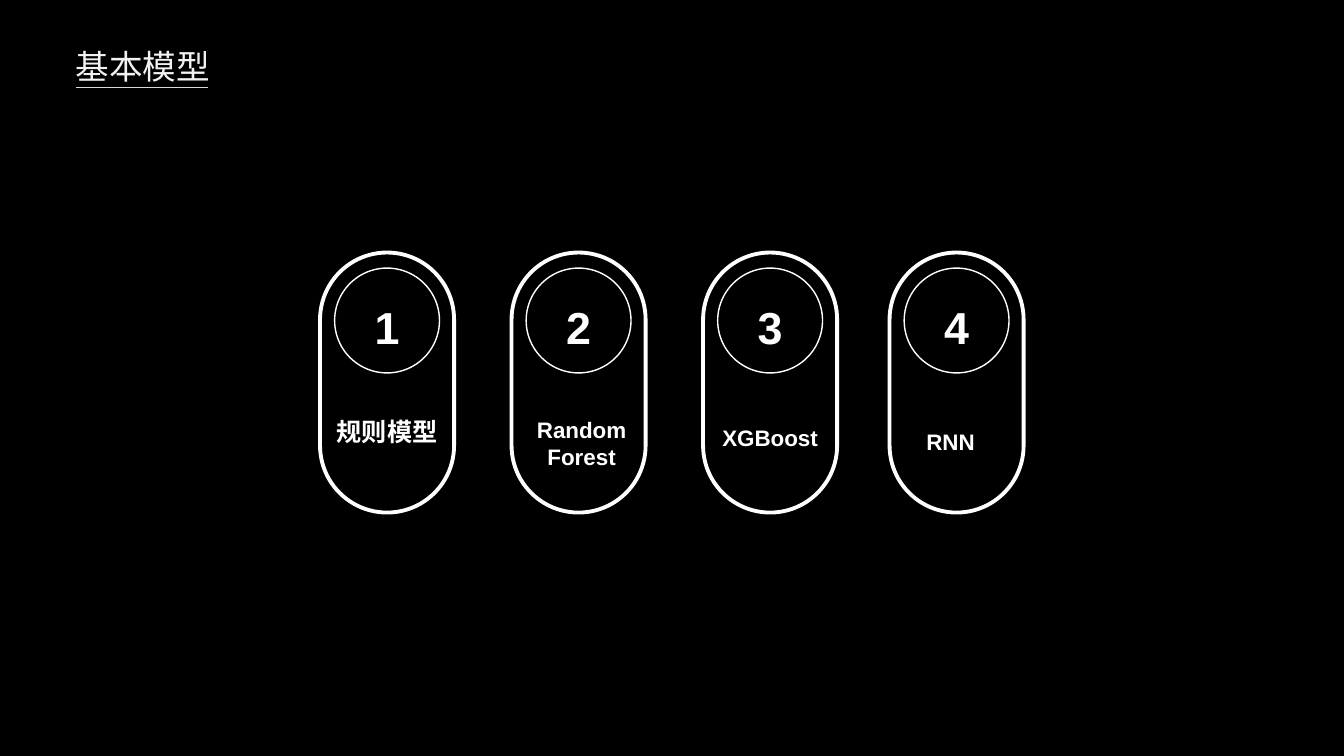
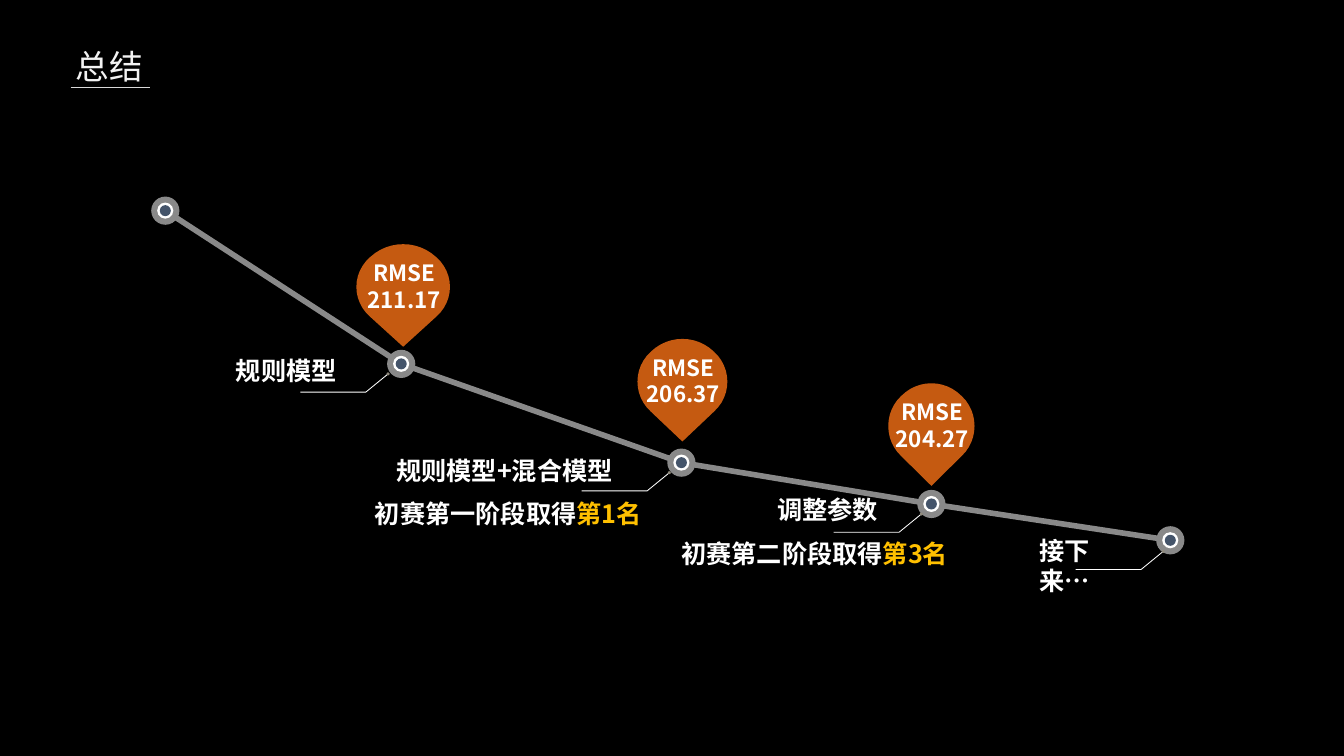
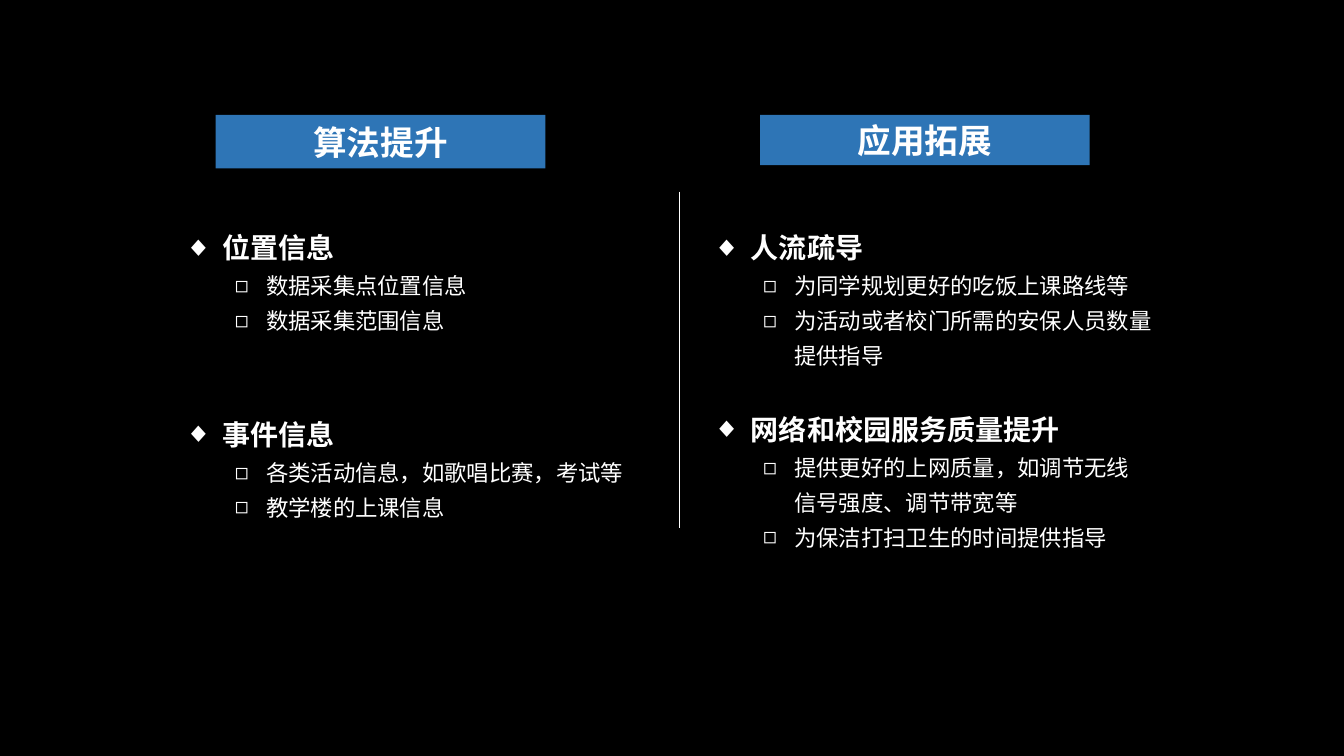
"""Builds three dark slides: basic models, results timeline and next steps."""
from itertools import pairwise

from lxml import etree
from pptx import Presentation
from pptx.dml.color import RGBColor
from pptx.enum.shapes import MSO_CONNECTOR as LINK, MSO_SHAPE as SHAPE
from pptx.enum.text import MSO_ANCHOR as ANCHOR, MSO_AUTO_SIZE as FIT, PP_ALIGN as ALIGN
from pptx.oxml.ns import qn
from pptx.util import Inches, Pt

CELL = Inches(0.1)
COLUMNS, ROWS = 133.33, 75
CJK = "Noto Sans CJK SC"
COLORS = {
    "background": "000000", "text": "FFFFFF", "title": "F2F2F2", "rule": "D9D9D9",
    "track": "898989", "core": "44546A", "dot": "908B7E", "pin": "C55A11",
    "highlight": "FFC000", "banner": "2E75B6",
}
TITLE_ONLY, COMPARISON = 5, 4

MODELS = [
    ("1", "规则模型", 18, 38.4, 38.4, 40.8),
    ("2", "Random Forest", 16, 57.4, 57.7, 40.8),
    ("3", "XGBoost", 16, 76.4, 76.4, 41.6),
    ("4", "RNN", 16, 94.9, 94.3, 42),
]
MILESTONES = [(16.4, 20.9), (39.8, 36.1), (67.6, 45.9), (92.4, 50), (116.1, 53.6)]
LEADER_TIPS = [(38.5, 37.1), (66.4, 46.9), (91.4, 51), (115.4, 54.7)]
SCORES = [("211.17", 40, 23.8, 10.2), ("206.37", 67.7, 33.2, 9.8), ("204.27", 92.4, 37.6, 9.4)]
STAGES = [
    ("规则模型", 21.9, 34.8, 13),
    ("规则模型+混合模型", 36.2, 44.7, 27.7),
    ("调整参数", 75.6, 48.6, 13),
    ("接下来…", 101, 52.6, 9.2),
]
RANKINGS = [("初赛第一阶段取得", "第1名", 36.2, 48.9, 30.2),
            ("初赛第二阶段取得", "第3名", 66.6, 52.9, 28.7)]
PIN_CURVES = [
    ((0.82, 0.72), (1, 0.57), (1, 0.31), (0.82, 0.16)),
    ((0.82, 0.16), (0.64, 0), (0.36, 0), (0.18, 0.16)),
    ((0.18, 0.16), (0, 0.31), (0, 0.57), (0.18, 0.72)),
]
BANNERS = [("算法提升", 21.4, 5.3), ("应用拓展", 75.4, 5)]
TOPICS = [
    ("位置信息", ["数据采集点位置信息", "数据采集范围信息"], (17.3, 21.4, 46.5, 12.4)),
    ("事件信息", ["各类活动信息，如歌唱比赛，考试等", "教学楼的上课信息"],
     (17.3, 39.9, 46.1, 12.4)),
    ("人流疏导", ["为同学规划更好的吃饭上课路线等", "为活动或者校门所需的安保人员数量提供指导"],
     (69.7, 21.4, 46.3, 15.9)),
    ("网络和校园服务质量提升",
     ["提供更好的上网质量，如调节无线信号强度、调节带宽等", "为保洁打扫卫生的时间提供指导"],
     (69.7, 39.4, 44.1, 15.9)),
]


def cells(*counts):
    """Turn grid cells into slide lengths."""
    return [round(CELL * count) for count in counts]


def color(name):
    """Look up a palette colour."""
    return RGBColor.from_string(COLORS[name])


def style(paragraph, size, face=CJK, bold=True, tint="text", align=ALIGN.CENTER, spacing=1.0):
    """Format a whole paragraph, East Asian face included."""
    paragraph.alignment = align
    paragraph.line_spacing = spacing
    paragraph.space_before = Pt(0)
    font = paragraph.font
    font.size, font.bold, font.name = Pt(size), bold, face
    font.color.rgb = color(tint)
    defaults = paragraph._p.get_or_add_pPr().find(qn("a:defRPr"))
    etree.SubElement(defaults, qn("a:ea")).set("typeface", CJK)


def add_label(slide, lines, box, size, inset=None, **look):
    """Add a wrapping text box with one paragraph per line."""
    frame = slide.shapes.add_textbox(*cells(*box)).text_frame
    frame.word_wrap = True
    if inset is not None:
        frame.margin_left = frame.margin_right = frame.margin_top = frame.margin_bottom = inset
    frame.text = "\n".join(lines)
    for paragraph in frame.paragraphs:
        style(paragraph, size, **look)
    return frame


def paint(shape, fill=None, outline=None, weight=1):
    """Give a shape a flat fill and outline, or none."""
    shape.shadow.inherit = False
    if fill:
        shape.fill.solid()
        shape.fill.fore_color.rgb = color(fill)
    else:
        shape.fill.background()
    if outline:
        shape.line.color.rgb = color(outline)
        shape.line.width = Pt(weight)
    else:
        shape.line.fill.background()
    return shape


def add_disc(slide, center, diameter, **look):
    """Add a circle around a centre."""
    x, y = center
    box = cells(x - diameter / 2, y - diameter / 2, diameter, diameter)
    return paint(slide.shapes.add_shape(SHAPE.OVAL, *box), **look)


def add_line(slide, start, end, tint, weight):
    """Add a straight line without shadow."""
    line = slide.shapes.add_connector(LINK.STRAIGHT, *cells(*start, *end))
    line.line.color.rgb = color(tint)
    line.line.width = Pt(weight)
    etree.SubElement(line._element.spPr, qn("a:effectLst"))


def add_outline(slide, points, close, **look):
    """Add a freeform through points given in grid cells."""
    first, *rest = [cells(*point) for point in points]
    builder = slide.shapes.build_freeform(*first)
    builder.add_line_segments(rest, close=close)
    return paint(builder.convert_to_shape(), **look)


def place(holder, box):
    """Move a placeholder and fix its text frame."""
    holder.left, holder.top, holder.width, holder.height = cells(*box)
    frame = holder.text_frame
    frame.auto_size = FIT.NONE
    frame.vertical_anchor = ANCHOR.TOP
    frame.word_wrap = True
    return frame


def add_titled_slide(deck, title, rule_start, rule_end):
    """Add a slide with an underlined title."""
    slide = deck.slides.add_slide(deck.slide_layouts[TITLE_ONLY])
    frame = place(slide.shapes.title, (6.5, 4.1, 16.8, 5))
    frame.text = title
    style(frame.paragraphs[0], 24, "Calibri", False, "title", ALIGN.LEFT)
    add_line(slide, (rule_start, 8.7), (rule_end, 8.7), "rule", 0.75)
    return slide


def add_model(slide, number, name, size, center, label_center, label_top):
    """Add a numbered capsule with a model name."""
    capsule = slide.shapes.add_shape(
        SHAPE.ROUNDED_RECTANGLE, *cells(center - 6.65, 25.05, 13.3, 25.8))
    capsule.adjustments[0] = 0.5
    paint(capsule, outline="text", weight=2.75)
    add_disc(slide, (center, 31.8), 10.4, outline="text")
    add_label(slide, [number], (center - 5.7, 27.05, 11.4, 8.1), 32, inset=0,
              face="Arial", spacing=1.5)
    add_label(slide, [name], (label_center - 6.5, label_top, 13, 4), size, face="Arial")


def add_milestone(slide, center):
    """Add a ringed timeline node."""
    for diameter, tint in ((2.8, "track"), (1.6, "text"), (1.1, "core")):
        add_disc(slide, center, diameter, fill=tint)


def add_leader(slide, tip):
    """Add a bent leader line ending in a dot."""
    x, y = tip
    add_outline(slide, [(x, y), (x - 2.2, y + 1.8), (x - 8.7, y + 1.8)], False,
                outline="text", weight=0.6)
    add_disc(slide, tip, 0.3, fill="dot")


def curve_points(curve, steps=12):
    """Sample a cubic curve."""
    for step in range(steps + 1):
        t = step / steps
        weights = ((1 - t) ** 3, 3 * t * (1 - t) ** 2, 3 * t * t * (1 - t), t ** 3)
        yield tuple(sum(w * point[axis] for w, point in zip(weights, curve)) for axis in (0, 1))


def add_score(slide, score, center, top, width, height=10.6):
    """Add a map pin showing an error score."""
    outline = [point for curve in PIN_CURVES for point in curve_points(curve)] + [(0.5, 1)]
    points = [(center + (x - 0.5) * width, top + y * height) for x, y in outline]
    add_outline(slide, points, True, fill="pin")
    add_label(slide, ["RMSE", score], (center - 6.4, top + 1.4, 13, 6.4), 16)


def add_ranking(slide, stage, rank, left, top, width):
    """Add a stage result with its rank highlighted."""
    frame = add_label(slide, [stage], (left, top, width, 4), 18, align=ALIGN.LEFT)
    highlight = frame.paragraphs[0].add_run()
    highlight.text = rank
    highlight.font.color.rgb = color("highlight")


def set_bullet(paragraph, mark, margin, hanging):
    """Set a bullet with a hanging indent."""
    properties = paragraph._p.get_or_add_pPr()
    properties.set("marL", str(Inches(margin)))
    properties.set("indent", str(-Inches(hanging)))
    bullet = etree.Element(qn("a:buChar"), char=mark)
    properties.insert_element_before(bullet, "a:tabLst", "a:defRPr", "a:extLst")


def fill_topic(holder, heading, details, box):
    """Write a heading and its details as a two-level list."""
    frame = place(holder, box)
    frame.text = "\n".join([heading, *details])
    first, *others = frame.paragraphs
    style(first, 20, align=ALIGN.LEFT, spacing=1.3)
    set_bullet(first, "◆", 0.38, 0.38)
    for detail in others:
        detail.level = 1
        style(detail, 16, bold=False, align=ALIGN.LEFT, spacing=1.3)
        set_bullet(detail, "◻", 0.81, 0.31)


def add_banner(slide, text, left, height):
    """Add a filled column heading."""
    banner = slide.shapes.add_shape(SHAPE.RECTANGLE, *cells(left, 11.4, 32.7, height))
    paint(banner, fill="banner")
    banner.text_frame.text = text
    style(banner.text_frame.paragraphs[0], 24)


def build_models(deck):
    """Build the slide of basic models."""
    slide = add_titled_slide(deck, "基本模型", 7.5, 20.6)
    for model in MODELS:
        add_model(slide, *model)


def build_summary(deck):
    """Build the timeline of results."""
    slide = add_titled_slide(deck, "总结", 7, 14.9)
    for start, end in pairwise(MILESTONES):
        add_line(slide, start, end, "track", 4)
    for center in MILESTONES:
        add_milestone(slide, center)
    for tip in LEADER_TIPS:
        add_leader(slide, tip)
    for score in SCORES:
        add_score(slide, *score)
    for stage, left, top, width in STAGES:
        add_label(slide, [stage], (left, top, width, 4), 18)
    for ranking in RANKINGS:
        add_ranking(slide, *ranking)


def build_next_steps(deck):
    """Build the two columns of next steps."""
    slide = deck.slides.add_slide(deck.slide_layouts[COMPARISON])
    title, *bodies = slide.placeholders
    title.element.getparent().remove(title.element)
    for holder, topic in zip(bodies, TOPICS):
        fill_topic(holder, *topic)
    for banner in BANNERS:
        add_banner(slide, *banner)
    add_line(slide, (67.45, 19), (67.45, 52.4), "text", 0.75)


def main():
    """Build and save the presentation."""
    deck = Presentation()
    deck.slide_width, deck.slide_height = cells(COLUMNS, ROWS)
    backdrop = deck.slide_master.background.fill
    backdrop.solid()
    backdrop.fore_color.rgb = color("background")
    build_models(deck)
    build_summary(deck)
    build_next_steps(deck)
    deck.save("out.pptx")


if __name__ == "__main__":
    main()
